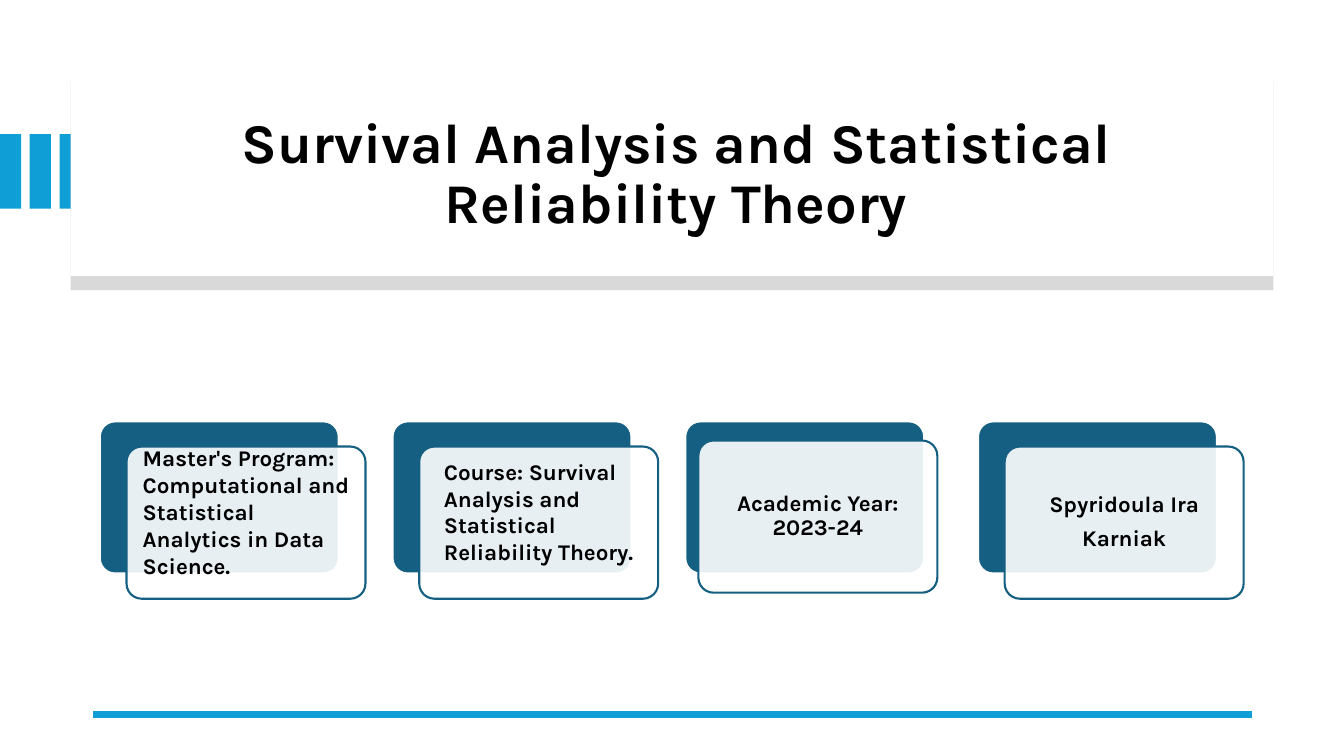
from lxml import etree
from pptx import Presentation
from pptx.dml.color import RGBColor
from pptx.enum.shapes import MSO_CONNECTOR, MSO_SHAPE
from pptx.enum.text import MSO_ANCHOR, MSO_AUTO_SIZE, PP_ALIGN
from pptx.oxml.ns import qn
from pptx.util import Inches, Pt

RECT, ROUNDED = MSO_SHAPE.RECTANGLE, MSO_SHAPE.ROUNDED_RECTANGLE
STRAIGHT = MSO_CONNECTOR.STRAIGHT
MIDDLE = MSO_ANCHOR.MIDDLE
NO_FIT = MSO_AUTO_SIZE.NONE
LEFT, CENTER = PP_ALIGN.LEFT, PP_ALIGN.CENTER

COLORS = {"accent": "0F9ED5", "card": "156082", "white": "FFFFFF", "black": "000000"}
FONT = "Karla"
SLIDE_W, SLIDE_H = 13.33, 7.5
TITLE = "Survival Analysis and Statistical Reliability Theory"

CENTERED = {"alignment": CENTER, "line_spacing": 0.9, "space_after": Pt(7)}
PLAIN = {"alignment": LEFT}
SIDE_INSETS = {"margin_left": 0.07, "margin_right": 0.07}
EVEN = {**SIDE_INSETS, "margin_top": 0.07, "margin_bottom": 0.07}
RAISED = {**SIDE_INSETS, "margin_top": 0, "margin_bottom": 0.22}
LOW_OFFSET, HIGH_OFFSET = (0.265, 0.25), (0.13, 0.19)

# lines, paragraph format, insets, offset of the front panel
CARDS = [
    (["Master's Program: Computational and Statistical Analytics in Data Science."],
     PLAIN, RAISED, LOW_OFFSET),
    (["Course: Survival Analysis and Statistical Reliability Theory."],
     PLAIN, RAISED, LOW_OFFSET),
    (["Academic Year: 2023-24"], CENTERED, EVEN, HIGH_OFFSET),
    (["Spyridoula Ira", "Karniak"], CENTERED, EVEN, LOW_OFFSET),
]


def rgb(name):
    return RGBColor.from_string(COLORS[name])


def set_attrs(obj, values):
    for name, value in values.items():
        setattr(obj, name, value)


def set_font(p, size):
    set_attrs(p.font, {"name": FONT, "size": Pt(size), "bold": True})
    p.font.color.rgb = rgb("black")


def add_block(slide, kind, box, fill, line=None):
    sp = slide.shapes.add_shape(kind, *map(Inches, box))
    sp.fill.solid()
    sp.fill.fore_color.rgb = rgb(fill)
    if line:
        sp.line.color.rgb = rgb(line)
        sp.line.width = Pt(1.5)
    else:
        sp.line.fill.background()
    sp.shadow.inherit = False
    return sp


def add_bars(slide, box, count=3, bar_w=0.21):
    left, top, width, height = box
    pitch = (width - bar_w) / (count - 1)
    for i in range(count):
        add_block(slide, RECT, (left + i * pitch, top, bar_w, height), "accent")


def drop_shadow(sp, distance, alpha):
    effects = sp.element.spPr.find(qn("a:effectLst"))
    shadow = etree.SubElement(effects, qn("a:outerShdw"), blurRad="0",
                              dist=str(Pt(distance)), dir="5400000",
                              algn="t", rotWithShape="0")
    color = etree.SubElement(shadow, qn("a:srgbClr"), val=COLORS["black"])
    etree.SubElement(color, qn("a:alpha"), val=str(alpha * 1000))


def add_title_panel(slide, box):
    left, top, width, height = box
    panel = add_block(slide, RECT, box, "white")
    drop_shadow(panel, 10, 15)

    title = slide.shapes.title
    panel.element.addnext(title.element)
    inset_x, inset_y = 0.44, 0.22
    set_attrs(title, {"left": Inches(left + inset_x), "top": Inches(top + inset_y),
                      "width": Inches(width - 0.8), "height": Inches(height - 0.37)})
    tf = title.text_frame
    set_attrs(tf, {"text": TITLE, "word_wrap": True, "auto_size": NO_FIT,
                   "vertical_anchor": MIDDLE})
    p = tf.paragraphs[0]
    set_attrs(p, {"alignment": CENTER, "line_spacing": 0.9})
    set_font(p, 40)


def add_card(slide, box, lines, para_format, insets, offset):
    left, top, width, height = box
    back = add_block(slide, ROUNDED, box, "card", "white")
    front_box = (left + offset[0], top + offset[1], width, height)
    front = add_block(slide, ROUNDED, front_box, "white", "card")
    for sp in (back, front):
        sp.adjustments[0] = 0.1
    color = front.element.spPr.find(qn("a:solidFill"))[0]
    etree.SubElement(color, qn("a:alpha"), val="90000")

    tf = front.text_frame
    set_attrs(tf, {"word_wrap": True, "vertical_anchor": MIDDLE})
    set_attrs(tf, {side: Inches(inset) for side, inset in insets.items()})
    # centres left-aligned text as a block
    tf._txBody.bodyPr.set("anchorCtr", "1" if para_format is PLAIN else "0")
    for i, line in enumerate(lines):
        p = tf.add_paragraph() if i else tf.paragraphs[0]
        p.text = line
        set_attrs(p, para_format)
        set_font(p, 16)


def add_cards(slide, box, card_w=2.37):
    left, top, width, height = box
    pitch = (width - card_w) / (len(CARDS) - 1)
    for i, card in enumerate(CARDS):
        add_card(slide, (left + i * pitch, top, card_w, height), *card)


def add_footer_rule(slide, left, right, y):
    rule = slide.shapes.add_connector(STRAIGHT, *map(Inches, (right, y, left, y)))
    rule.line.color.rgb = rgb("accent")
    rule.line.width = Pt(4.5)
    etree.SubElement(rule.element.spPr, qn("a:effectLst"))


def main():
    prs = Presentation()
    prs.slide_width, prs.slide_height = Inches(SLIDE_W), Inches(SLIDE_H)
    slide = prs.slides.add_slide(prs.slide_layouts[5])
    add_bars(slide, (0, 1.33, 0.8, 0.74))
    add_title_panel(slide, (0.7, 0.67, 11.93, 2.07))
    add_footer_rule(slide, 0.92, 12.42, 7.09)
    add_cards(slide, (0.99, 4.18, 11.08, 1.51))
    prs.save("out.pptx")


if __name__ == "__main__":
    main()
